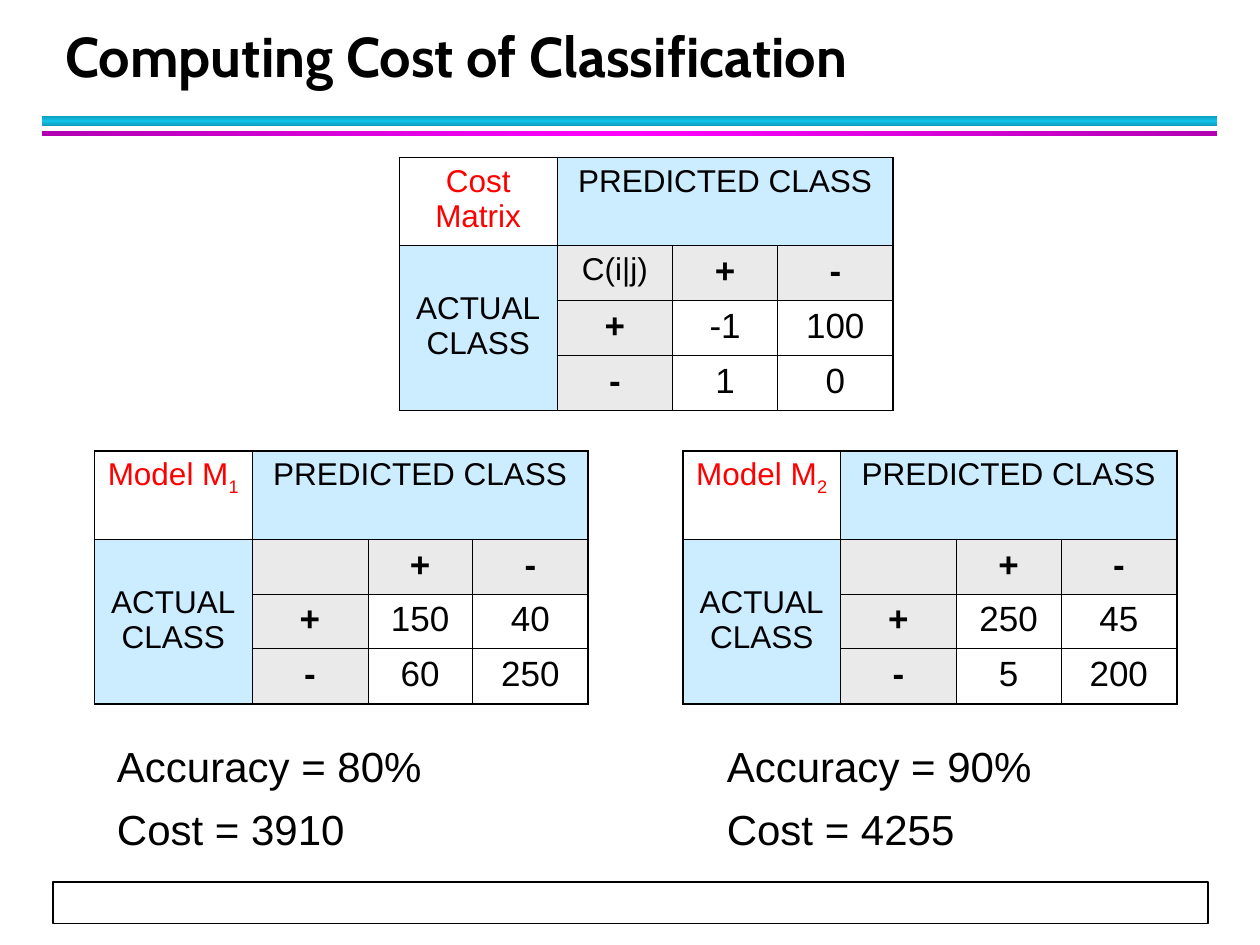
from dataclasses import dataclass

from lxml import etree
from pptx import Presentation
from pptx.dml.color import RGBColor
from pptx.enum.shapes import MSO_SHAPE
from pptx.enum.text import MSO_ANCHOR, PP_ALIGN
from pptx.oxml.ns import qn
from pptx.util import Inches, Pt

RECT = MSO_SHAPE.RECTANGLE
BOTTOM = MSO_ANCHOR.BOTTOM
CENTER = PP_ALIGN.CENTER


@dataclass(frozen=True)
class Theme:
    black: str = "000000"
    white: str = "FFFFFF"
    red: str = "FF0000"
    sky: str = "CCECFF"
    gray: str = "EAEAEA"
    cyan: tuple = ("0E9BBA", "12C2E9")
    pink: tuple = ("B200B2", "FF00FF")
    head: str = "Cabin"
    body: str = "Arial"
    title: float = 32
    note: float = 24
    value: float = 20
    label: float = 18
    edge: float = 1.08
    grid: float = 0.45


THEME = Theme()
COLS = (1.25, 0.92, 0.83, 0.92)
ROWS = (0.7, 0.43, 0.43, 0.44)
LABEL = {"size": Pt(THEME.label), "name": THEME.body}
VALUE = {"size": Pt(THEME.value), "name": THEME.body}
SIGN = VALUE | {"bold": True}
NOTE = {"size": Pt(THEME.note), "name": THEME.body}
TITLE = {"size": Pt(THEME.title), "name": THEME.head, "bold": True}
CELL_GAP = {"alignment": CENTER, "space_before": Pt(2.5), "space_after": Pt(4)}
NOTE_GAP = {"space_before": Pt(3), "space_after": Pt(4)}


def apply(item, form):
    for key, val in form.items():
        setattr(item, key, val)


def write(para, text, form, color=THEME.black, sub=""):
    """Fill a paragraph, with an optional subscript at its end."""
    for part in filter(None, (text, sub)):
        run = para.add_run()
        run.text = part
        apply(run.font, form)
        run.font.color.rgb = RGBColor.from_string(color)
    if sub:
        run.font._element.set("baseline", "-25000")


def add_rect(slide, box):
    rect = slide.shapes.add_shape(RECT, *map(Inches, box))
    rect.shadow.inherit = False
    return rect


def add_band(slide, box, colors, angle):
    """Bar that shades from a dark edge to a light middle and back."""
    band = add_rect(slide, box)
    band.line.fill.background()
    band.fill.gradient()
    band.fill.gradient_angle = angle
    stops = band._element.spPr.find(qn("a:gradFill")).find(qn("a:gsLst"))
    for stop in list(stops):
        stops.remove(stop)
    dark, light = colors
    for pos, color in ((0, dark), (50000, light), (100000, dark)):
        stop = etree.SubElement(stops, qn("a:gs"), pos=str(pos))
        etree.SubElement(stop, qn("a:srgbClr"), val=color)


def add_text(slide, box):
    frame = slide.shapes.add_textbox(*map(Inches, box)).text_frame
    frame.word_wrap = True
    return frame


def add_head(slide, box):
    """Title with the two bars below it."""
    left, top, width, height = box
    add_band(slide, (left, top + 0.75, width, 0.08), THEME.cyan, 90)
    add_band(slide, (left, top + 0.87, width, 0.04), THEME.pink, 0)
    frame = add_text(slide, (left + 0.09, top, 9.06, height))
    frame.vertical_anchor = BOTTOM
    para = frame.paragraphs[0]
    para.line_spacing = Pt(36)
    write(para, "Computing Cost of Classification", TITLE)


def add_foot(slide, box):
    foot = add_rect(slide, box)
    foot.fill.solid()
    foot.fill.fore_color.rgb = RGBColor.from_string(THEME.white)
    foot.line.color.rgb = RGBColor.from_string(THEME.black)
    foot.line.width = Pt(1)


def draw_edges(cell, row, col):
    """Thick lines at the rim of the table, thin ones inside."""
    last_row = row + cell.span_height if cell.is_merge_origin else row + 1
    last_col = col + cell.span_width if cell.is_merge_origin else col + 1
    rims = {"L": col == 0, "R": last_col == len(COLS),
            "T": row == 0, "B": last_row == len(ROWS)}
    props = cell._tc.get_or_add_tcPr()
    for side, rim in rims.items():
        width = Pt(THEME.edge if rim else THEME.grid)
        line = etree.SubElement(props, qn(f"a:ln{side}"), w=str(int(width)))
        fill = etree.SubElement(line, qn("a:solidFill"))
        etree.SubElement(fill, qn("a:srgbClr"), val=THEME.black)


def cell_style(row, col):
    """Fill and text format that belong to a place in the matrix."""
    if row == 0 or col == 0:
        return (THEME.sky if row or col else THEME.white), LABEL
    if row == 1 or col == 1:
        return THEME.gray, (LABEL if row == col else SIGN)
    return THEME.white, VALUE


def add_matrix(slide, box, name, sub, corner, values):
    """Two by two class matrix with its headings."""
    shape = slide.shapes.add_table(len(ROWS), len(COLS), *map(Inches, box))
    table = shape.table
    apply(table, {"first_row": False, "horz_banding": False})
    for col, width in zip(table.columns, COLS):
        col.width = Inches(width)
    for row, height in zip(table.rows, ROWS):
        row.height = Inches(height)
    table.cell(0, 1).merge(table.cell(0, 3))
    table.cell(1, 0).merge(table.cell(3, 0))

    texts = ((name, "PREDICTED CLASS", "", ""),
             ("ACTUAL\vCLASS", corner, "+", "-"),
             ("", "+", *values[0]),
             ("", "-", *values[1]))
    for r, line in enumerate(texts):
        for c, text in enumerate(line):
            cell = table.cell(r, c)
            draw_edges(cell, r, c)
            color, form = cell_style(r, c)
            cell.fill.solid()
            cell.fill.fore_color.rgb = RGBColor.from_string(color)
            para = cell.text_frame.paragraphs[0]
            apply(para, CELL_GAP)
            first = r == c == 0
            ink = THEME.red if first else THEME.black
            for i, part in enumerate(text.split("\v")):
                if i:
                    para.add_line_break()
                write(para, part, form, ink, sub if first else "")
    table.cell(1, 0).margin_top = Inches(0.36)


def add_notes(slide, box, lines):
    frame = add_text(slide, box)
    for i, line in enumerate(lines):
        para = frame.add_paragraph() if i else frame.paragraphs[0]
        apply(para, NOTE_GAP)
        write(para, line, NOTE)


def main():
    deck = Presentation()
    deck.slide_width, deck.slide_height = Inches(10), Inches(7.5)
    slide = deck.slides.add_slide(deck.slide_layouts[6])
    add_head(slide, (0.33, 0.17, 9.33, 0.58))
    add_foot(slide, (0.42, 7, 9.17, 0.33))

    # Cost matrix above, the two models below
    size = (sum(COLS), sum(ROWS))
    add_matrix(slide, (3.17, 1.25, *size), "Cost Matrix", "", "C(i|j)",
               (("-1", "100"), ("1", "0")))
    models = (
        (0.75, 0.83, "1", (("150", "40"), ("60", "250")), "80%", "3910"),
        (5.42, 5.67, "2", (("250", "45"), ("5", "200")), "90%", "4255"),
    )
    for left, indent, sub, values, rate, cost in models:
        add_matrix(slide, (left, 3.58, *size), "Model M", sub, "", values)
        add_notes(slide, (indent, 5.83, 3.33, 1.08),
                  (f"Accuracy = {rate}", f"Cost = {cost}"))
    deck.save("out.pptx")


if __name__ == "__main__":
    main()
